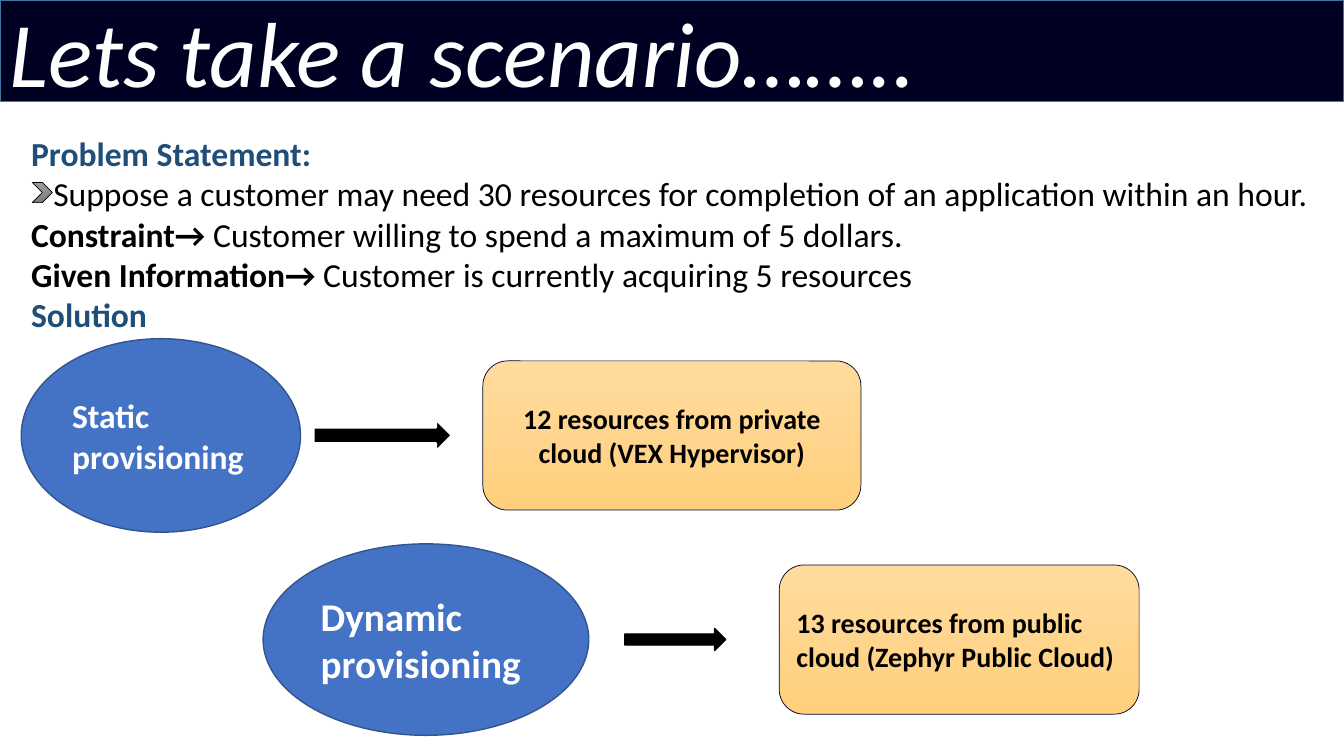
from pptx import Presentation
from pptx.dml.color import RGBColor as Rgb
from pptx.enum.shapes import MSO_SHAPE as Kind
from pptx.enum.text import MSO_ANCHOR as Anchor, PP_ALIGN as Align
from pptx.util import Inches, Pt

HUES = {
    "navy": "000022", "edge": "43739E", "white": "FFFFFF", "black": "000000",
    "head": "1F4E79", "blue": "4472C4", "rim": "325491",
    "sand": "FFDB9E", "gold": "FFD07C", "silver": "9D9D9D", "gray": "7C7C7C",
}

deck = Presentation()
deck.slide_width, deck.slide_height = Inches(13.333), Inches(7.5)
WIDE, HIGH = deck.slide_width / 100, deck.slide_height / 100
slide = deck.slides.add_slide(deck.slide_layouts[6])


def draw(kind, left, top, width, height, fill, line, weight):
    shape = slide.shapes.add_shape(
        kind, int(left * WIDE), int(top * HIGH), int(width * WIDE), int(height * HIGH))
    shape.shadow.inherit = False
    if len(fill) == 1:
        shape.fill.solid()
        shape.fill.fore_color.rgb = Rgb.from_string(HUES[fill[0]])
    else:
        shape.fill.gradient()
        shape.fill.gradient_angle = 270
        for stop, hue in zip(shape.fill.gradient_stops, fill):
            stop.color.rgb = Rgb.from_string(HUES[hue])
    shape.line.color.rgb = Rgb.from_string(HUES[line])
    shape.line.width = Pt(weight)
    return shape.text_frame


def write(para, text, hue, **form):
    run = para.add_run()
    run.text = text
    run.font.color.rgb = Rgb.from_string(HUES[hue])
    for key, value in {"name": "Calibri", **form}.items():
        setattr(run.font, key, value)


title = draw(Kind.RECTANGLE, 0, 0, 100, 13.47, ["navy"], "edge", 1)
title.vertical_anchor = Anchor.MIDDLE
title.paragraphs[0].alignment = Align.LEFT
write(title.paragraphs[0], "Lets take a scenario……..", "white", size=Pt(66), italic=True)

LINES = [
    [("Problem Statement:", "head", True)],
    [("Suppose a customer may need 30 resources for completion of an application within an hour.",
      "black", False)],
    [("Constraint→", "black", True),
     (" Customer willing to spend a maximum of 5 dollars.", "black", False)],
    [("Given Information→", "black", True),
     (" Customer is currently acquiring 5 resources", "black", False)],
    [("Solution", "head", True)],
]
body = slide.shapes.add_textbox(
    int(1.58 * WIDE), int(16.93 * HIGH), int(97.45 * WIDE), int(79.47 * HIGH)).text_frame
body.word_wrap = True
for num, line in enumerate(LINES):
    para = body.paragraphs[0] if num == 0 else body.add_paragraph()
    for text, hue, bold in line:
        write(para, text, hue, size=Pt(24), bold=bold)
body.paragraphs[1]._p.get_or_add_pPr().set("indent", str(Inches(0.22)))

OVAL = {"kind": Kind.OVAL, "fill": ["blue"], "line": "rim", "weight": 1}
CARD = {"kind": Kind.ROUNDED_RECTANGLE, "fill": ["sand", "gold"], "line": "navy", "weight": 0.5}
ARROW = {"kind": Kind.RIGHT_ARROW, "fill": ["black"]}
ROWS = [
    (57.6, [
        (OVAL, 1.58, 20.78, 25.6, "Static provisioning", "white", 24, Align.LEFT),
        (CARD, 35.93, 28.13, 19.73, "12 resources from private cloud (VEX Hypervisor)",
         "black", 20, Align.CENTER),
        ({**ARROW, "line": "white", "weight": 1.5}, 23.33, 10.28, 4.13, "", "", 0, None),
    ]),
    (84.6, [
        (OVAL, 19.58, 24.23, 25.33, "Dynamic provisioning", "white", 28, Align.LEFT),
        (CARD, 57.98, 26.78, 19.73, "13 resources from public cloud (Zephyr Public Cloud)",
         "black", 20, Align.LEFT),
        ({**ARROW, "line": "black", "weight": 1}, 46.5, 7.5, 2.93, "", "", 0, None),
    ]),
]
for mid, parts in ROWS:
    for look, left, width, height, text, hue, size, align in parts:
        frame = draw(left=left, top=mid - height / 2, width=width, height=height, **look)
        if text:
            frame.word_wrap = True
            frame.vertical_anchor = Anchor.MIDDLE
            frame.paragraphs[0].alignment = align
            write(frame.paragraphs[0], text, hue, size=Pt(size), bold=True)

draw(Kind.CHEVRON, 2.4, 24.13, 1.5, 2.67, ["silver", "gray"], "black", 0.5)

deck.save("out.pptx")
